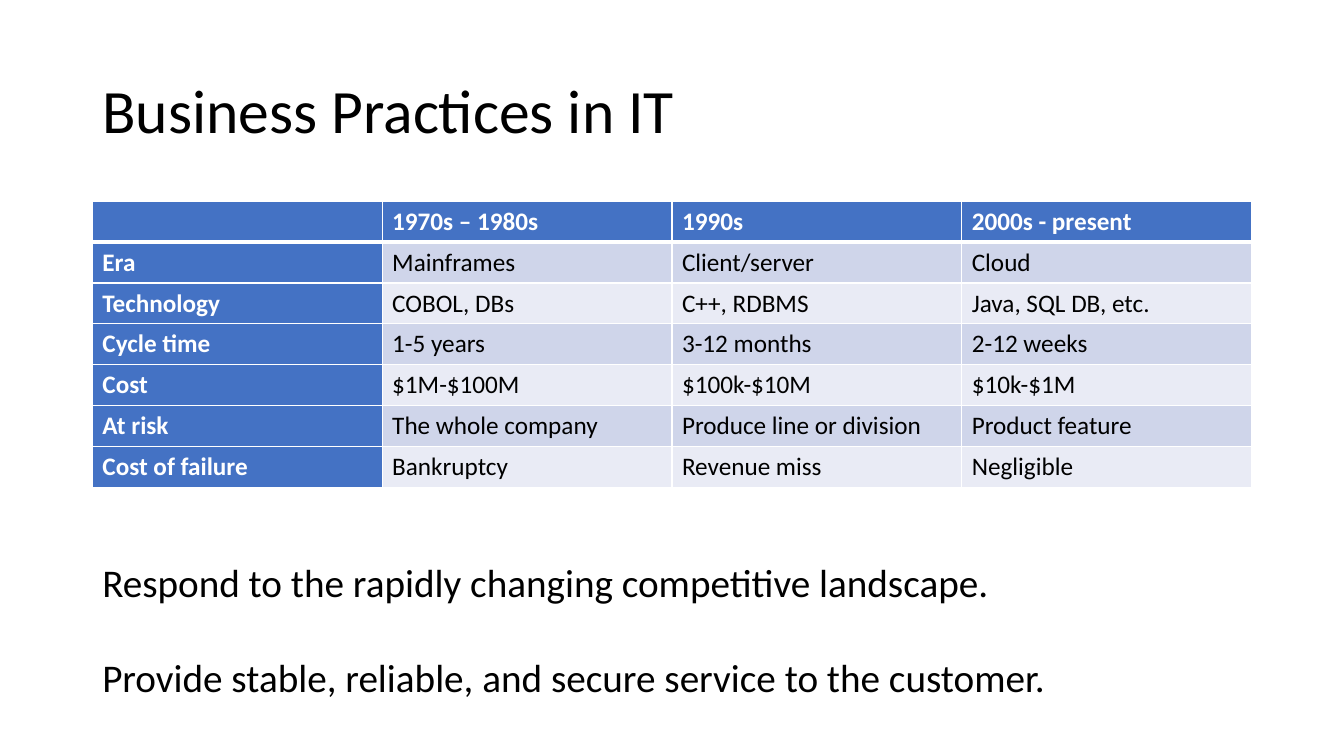
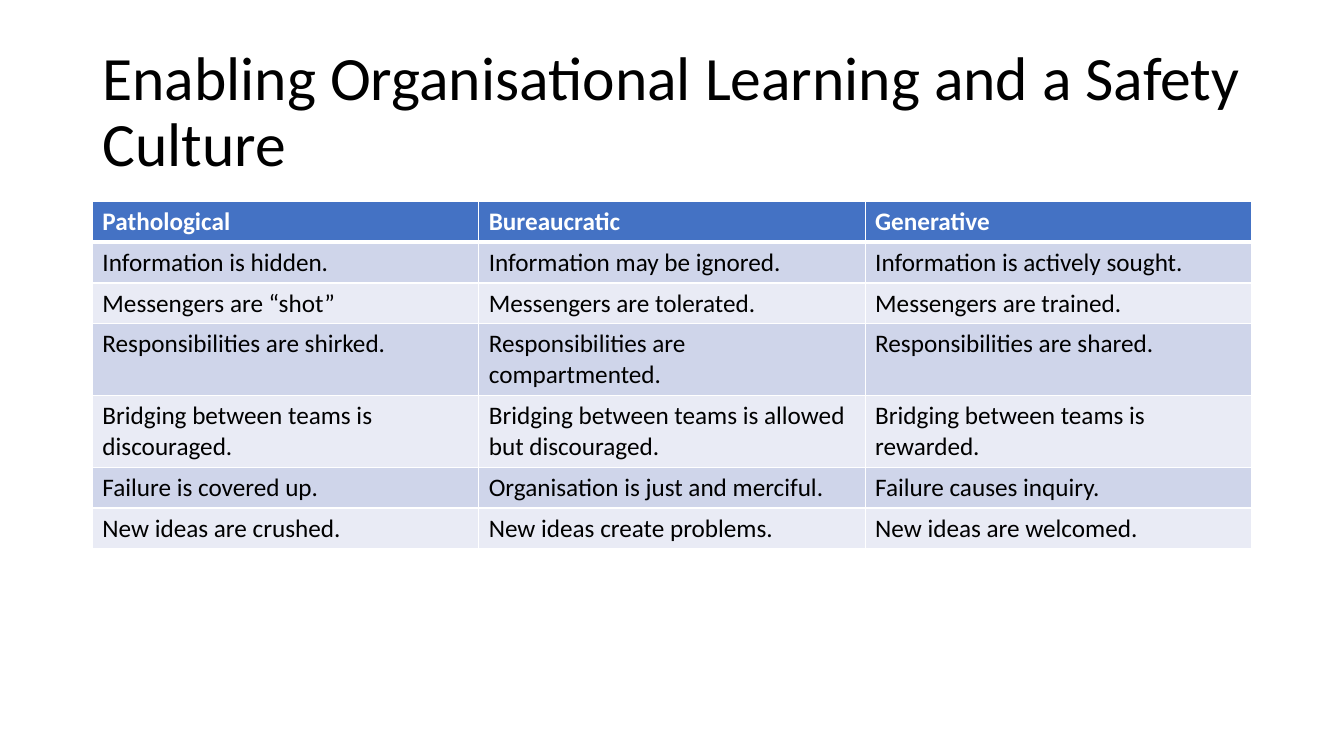
"""Build two table slides on IT business practices and organisational culture."""
from dataclasses import dataclass

from lxml import etree
from pptx import Presentation
from pptx.dml.color import RGBColor
from pptx.enum.text import MSO_ANCHOR, MSO_AUTO_SIZE, PP_ALIGN
from pptx.oxml.ns import qn
from pptx.util import Pt

LEFT_ALIGN = PP_ALIGN.LEFT
TOP_ANCHOR = MSO_ANCHOR.TOP
MIDDLE_ANCHOR = MSO_ANCHOR.MIDDLE
NO_AUTOFIT = MSO_AUTO_SIZE.NONE
GROW_TO_FIT = MSO_AUTO_SIZE.SHAPE_TO_FIT_TEXT

FONT = "Calibri"
BLACK, WHITE, BLUE = "000000", "FFFFFF", "4472C4"
BANDS = ("CFD5EA", "E9EBF5")
LEFT, CONTENT_WIDTH = 66, 828
TITLE_TOP, TITLE_HEIGHT = 28.8, 104.4
TABLE_TOP, ROW_HEIGHT = 143.75, 29.2
RULE, HEADER_RULE = 1, 3
TITLE_ONLY = 5


@dataclass(frozen=True)
class TableSlide:
    title: str
    rows: tuple[tuple[str, ...], ...]
    has_row_labels: bool = False
    goals: tuple[str, ...] = ()


SLIDES = (
    TableSlide(
        "Business Practices in IT",
        (
            ("", "1970s – 1980s", "1990s", "2000s - present"),
            ("Era", "Mainframes", "Client/server", "Cloud"),
            ("Technology", "COBOL, DBs", "C++, RDBMS", "Java, SQL DB, etc."),
            ("Cycle time", "1-5 years", "3-12 months", "2-12 weeks"),
            ("Cost", "$1M-$100M", "$100k-$10M", "$10k-$1M"),
            ("At risk", "The whole company", "Produce line or division", "Product feature"),
            ("Cost of failure", "Bankruptcy", "Revenue miss", "Negligible"),
        ),
        has_row_labels=True,
        goals=(
            "Respond to the rapidly changing competitive landscape.",
            "Provide stable, reliable, and secure service to the customer.",
        ),
    ),
    TableSlide(
        "Enabling Organisational Learning and a Safety Culture",
        (
            ("Pathological", "Bureaucratic", "Generative"),
            ("Information is hidden.", "Information may be ignored.",
             "Information is actively sought."),
            ("Messengers are “shot”", "Messengers are tolerated.",
             "Messengers are trained."),
            ("Responsibilities are shirked.", "Responsibilities are compartmented.",
             "Responsibilities are shared."),
            ("Bridging between teams is discouraged.",
             "Bridging between teams is allowed but discouraged.",
             "Bridging between teams is rewarded."),
            ("Failure is covered up.", "Organisation is just and merciful.",
             "Failure causes inquiry."),
            ("New ideas are crushed.", "New ideas create problems.",
             "New ideas are welcomed."),
        ),
    ),
)


def rgb(value: str) -> RGBColor:
    return RGBColor.from_string(value)


def style(paragraph, size: float, color: str = BLACK, bold: bool = False) -> None:
    paragraph.alignment = LEFT_ALIGN
    font = paragraph.font
    font.name, font.size, font.bold = FONT, Pt(size), bold
    font.color.rgb = rgb(color)


def add_title(slide, text: str) -> None:
    title = slide.shapes.title
    title.left, title.top = Pt(LEFT), Pt(TITLE_TOP)
    title.width, title.height = Pt(CONTENT_WIDTH), Pt(TITLE_HEIGHT)
    frame = title.text_frame
    frame.text = text
    frame.word_wrap = True
    frame.auto_size = NO_AUTOFIT
    frame.vertical_anchor = MIDDLE_ANCHOR
    heading = frame.paragraphs[0]
    heading.line_spacing = 0.9
    style(heading, 44)


def add_borders(cell, top: float, bottom: float) -> None:
    properties = cell._tc.get_or_add_tcPr()
    for side, width in (("L", RULE), ("R", RULE), ("T", top), ("B", bottom)):
        line = etree.SubElement(properties, qn(f"a:ln{side}"), w=str(Pt(width)))
        fill = etree.SubElement(line, qn("a:solidFill"))
        etree.SubElement(fill, qn("a:srgbClr"), val=WHITE)


def add_table(slide, content: TableSlide) -> None:
    row_count, column_count = len(content.rows), len(content.rows[0])
    table = slide.shapes.add_table(
        row_count, column_count, Pt(LEFT), Pt(TABLE_TOP),
        Pt(CONTENT_WIDTH), Pt(ROW_HEIGHT * row_count),
    ).table
    table.first_col = content.has_row_labels
    for row, texts in enumerate(content.rows):
        top = HEADER_RULE if row == 1 else RULE
        bottom = HEADER_RULE if row == 0 else RULE
        for column, text in enumerate(texts):
            is_heading = row == 0 or (content.has_row_labels and column == 0)
            cell = table.cell(row, column)
            cell.text = text
            cell.vertical_anchor = TOP_ANCHOR
            style(cell.text_frame.paragraphs[0], 18,
                  WHITE if is_heading else BLACK, is_heading)
            add_borders(cell, top, bottom)
            cell.fill.solid()
            cell.fill.fore_color.rgb = rgb(BLUE if is_heading else BANDS[(row - 1) % 2])


def add_goals(slide, goals: tuple[str, ...]) -> None:
    frame = slide.shapes.add_textbox(Pt(LEFT), Pt(395.3), Pt(784), Pt(108.7)).text_frame
    frame.word_wrap = True
    frame.auto_size = GROW_TO_FIT
    for index, goal in enumerate(goals):
        paragraph = frame.add_paragraph() if index else frame.paragraphs[0]
        paragraph.text = goal
        paragraph.space_before = Pt(34 if index else 0)
        style(paragraph, 28)


def main() -> None:
    deck = Presentation()
    deck.slide_width, deck.slide_height = Pt(960), Pt(540)
    for content in SLIDES:
        slide = deck.slides.add_slide(deck.slide_layouts[TITLE_ONLY])
        add_title(slide, content.title)
        add_table(slide, content)
        if content.goals:
            add_goals(slide, content.goals)
    deck.save("out.pptx")


main()
